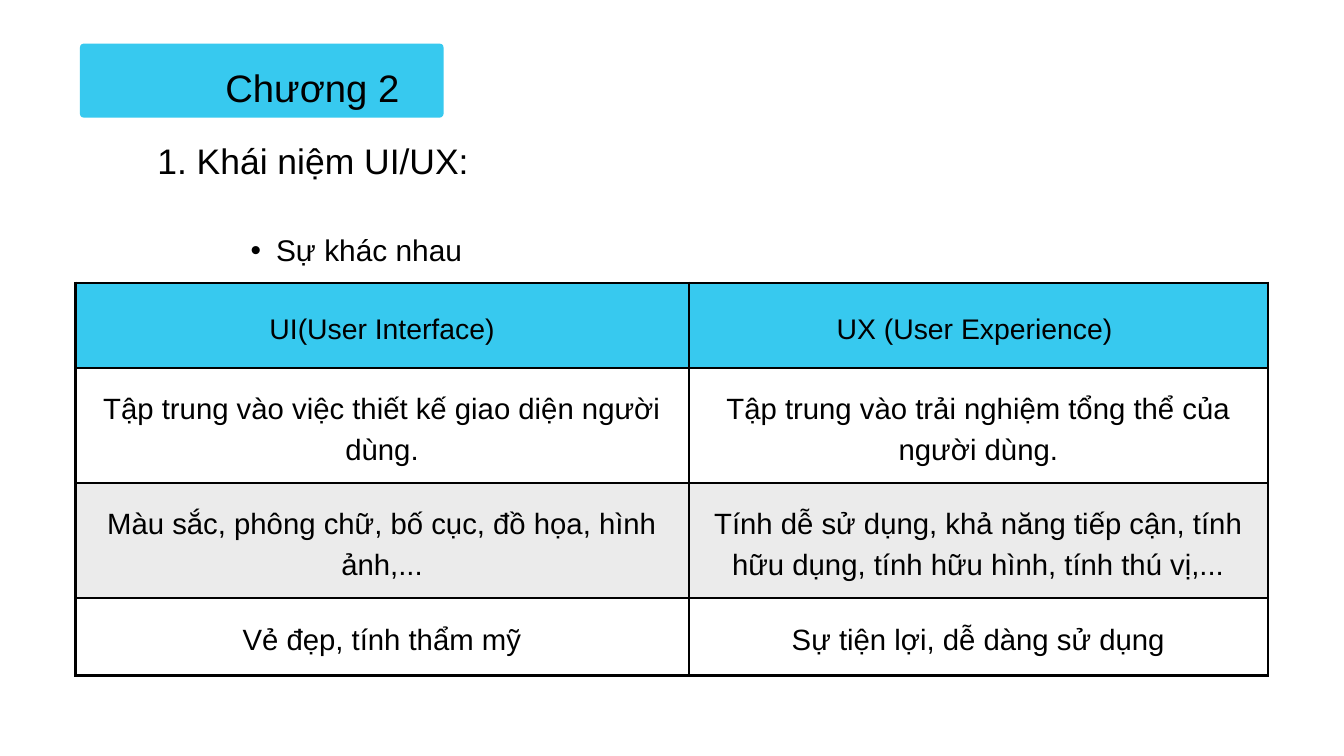
from lxml import etree
from pptx import Presentation
from pptx.dml.color import RGBColor
from pptx.enum import shapes, text
from pptx.oxml import ns
from pptx.util import Inches, Pt

COLORS = {"accent": "37C9EF", "band": "EBEBEB", "ink": "000000"}


def format_text(tf, size, spacing):
    tf.word_wrap = True
    p = tf.paragraphs[0]
    p.alignment = text.PP_ALIGN.CENTER
    p.line_spacing = Pt(spacing)
    for r in p.runs:
        r.font.name = "Arial"
        r.font.size = Pt(size)
        r.font.bold = False
        r.font.color.rgb = RGBColor.from_string(COLORS["ink"])


def place_text(sp, box, content, size, spacing):
    sp.left, sp.top, sp.width, sp.height = [Inches(v) for v in box]
    tf = sp.text_frame
    tf.margin_left = tf.margin_right = tf.margin_top = tf.margin_bottom = 0
    tf.vertical_anchor = text.MSO_ANCHOR.TOP
    tf.auto_size = text.MSO_AUTO_SIZE.SHAPE_TO_FIT_TEXT
    tf.text = content
    format_text(tf, size, spacing)


prs = Presentation()
prs.slide_width, prs.slide_height = Inches(20), Inches(11.25)
s = prs.slides.add_slide(prs.slide_layouts[5])

# Chapter banner
banner = s.shapes.add_shape(shapes.MSO_SHAPE.ROUNDED_RECTANGLE,
                            Inches(1.19), Inches(0.65), Inches(5.41), Inches(1.1))
banner.adjustments[0] = 0.05
banner.shadow.inherit = False
banner.fill.solid()
banner.fill.fore_color.rgb = RGBColor.from_string(COLORS["accent"])
banner.line.fill.background()

# Title, in front of the banner
title = s.shapes.title
banner.element.addnext(title.element)
place_text(title, (2.07, 0.84, 5.16, 0.85), "Chương 2", 41, 57.4)

# Section heading and bullet
heading = s.shapes.add_textbox(0, 0, 0, 0)
place_text(heading, (2.07, 1.96, 5.18, 0.71), "1. Khái niệm UI/UX:", 38, 53.2)

bullet = s.shapes.add_textbox(0, 0, 0, 0)
place_text(bullet, (2.78, 3.36, 4.67, 0.63), "Sự khác nhau", 32, 44.8)
p = bullet.text_frame.paragraphs[0]
p.level = 1
pPr = p._p.get_or_add_pPr()
pPr.set("marL", str(Inches(0.76)))
pPr.set("indent", str(Inches(-0.38)))
etree.SubElement(pPr, ns.qn("a:buFont")).set("typeface", "Arial")
etree.SubElement(pPr, ns.qn("a:buChar")).set("char", "•")

# Comparison table
ROWS = [
    ("UI(User Interface)", "UX (User Experience) "),
    ("Tập trung vào việc thiết kế giao diện người dùng.",
     "Tập trung vào trải nghiệm tổng thể của người dùng."),
    ("Màu sắc, phông chữ, bố cục, đồ họa, hình ảnh,...",
     "Tính dễ sử dụng, khả năng tiếp cận, tính hữu dụng, tính hữu hình, tính thú vị,..."),
    ("Vẻ đẹp, tính thẩm mỹ", "Sự tiện lợi, dễ dàng sử dụng"),
]
ROW_HEIGHTS = [1.27, 1.71, 1.71, 1.15]
COL_WIDTHS = [9.13, 8.62]
ROW_FILLS = ["accent", None, "band", None]

table = s.shapes.add_table(len(ROWS), 2, Inches(1.12), Inches(4.21),
                           Inches(sum(COL_WIDTHS)), Inches(sum(ROW_HEIGHTS))).table
table.first_row = table.horz_banding = False
for col, width in zip(table.columns, COL_WIDTHS):
    col.width = Inches(width)

for i, (row, height) in enumerate(zip(table.rows, ROW_HEIGHTS)):
    row.height = Inches(height)
    size, spacing = (30.4, 42.5) if i == 0 else (31.4, 44)
    for cell, content in zip(row.cells, ROWS[i]):
        cell.text = content
        format_text(cell.text_frame, size, spacing)
        cell.vertical_anchor = text.MSO_ANCHOR.MIDDLE
        cell.margin_left = cell.margin_right = Inches(0.21)
        cell.margin_top = cell.margin_bottom = Inches(0.21)
        if ROW_FILLS[i]:
            cell.fill.solid()
            cell.fill.fore_color.rgb = RGBColor.from_string(COLORS[ROW_FILLS[i]])
        else:
            cell.fill.background()
        # Borders come before the fill in the cell properties
        tcPr = cell._tc.get_or_add_tcPr()
        for n, side in enumerate(("lnL", "lnR", "lnT", "lnB")):
            ln = etree.Element(ns.qn(f"a:{side}"), w=str(Pt(3)))
            fill = etree.SubElement(ln, ns.qn("a:solidFill"))
            etree.SubElement(fill, ns.qn("a:srgbClr")).set("val", COLORS["ink"])
            tcPr.insert(n, ln)

prs.save("out.pptx")
